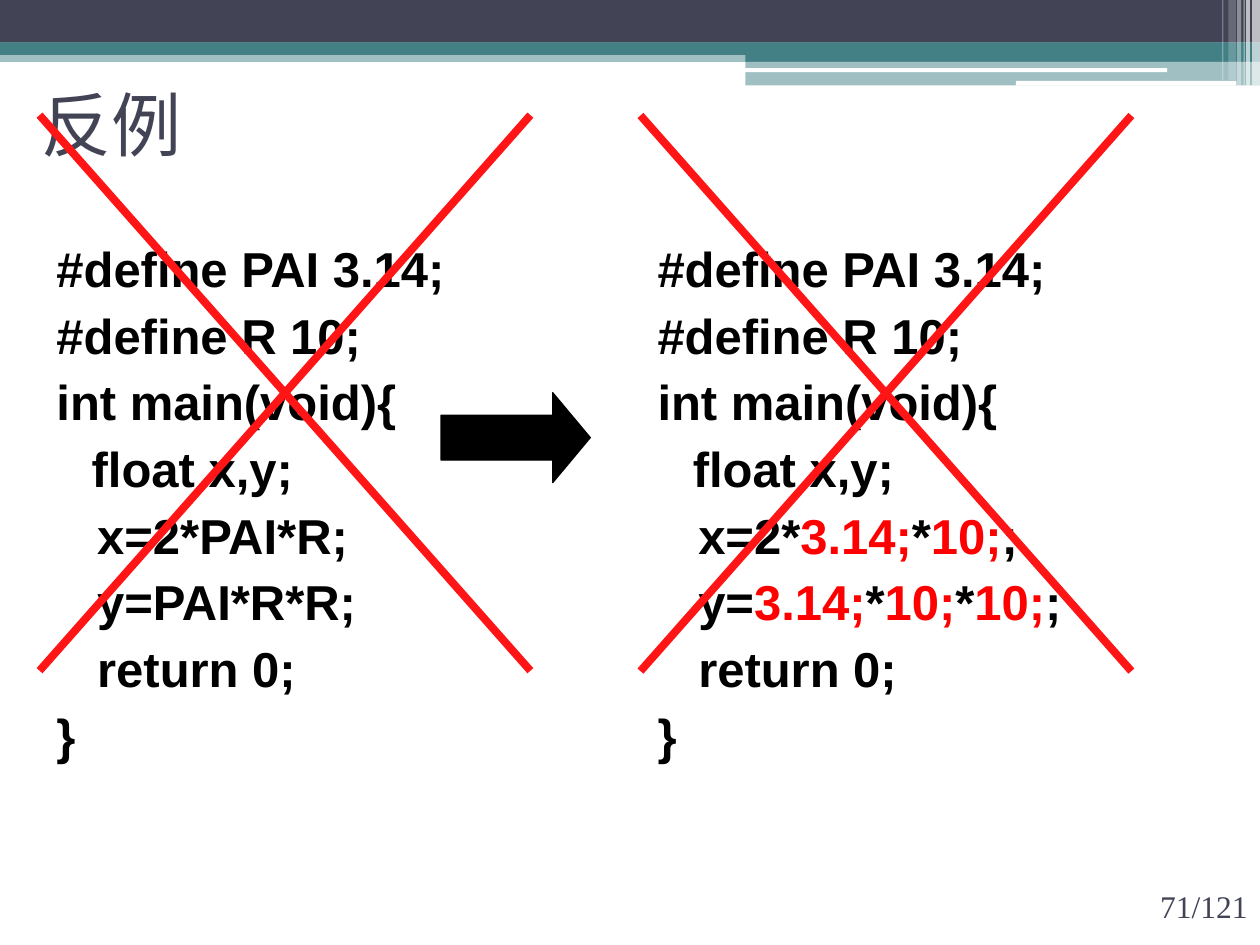
from dataclasses import dataclass

from lxml.etree import SubElement
from pptx import Presentation
from pptx.dml.color import RGBColor
from pptx.enum.shapes import MSO_CONNECTOR, MSO_SHAPE
from pptx.enum.text import MSO_ANCHOR, PP_ALIGN
from pptx.oxml.ns import qn
from pptx.util import Pt


@dataclass(frozen=True)
class Theme:
    navy: str = "424456"
    teal: str = "438086"
    white: str = "FFFFFF"
    black: str = "000000"
    replaced: str = "FF0000"
    cross: str = "FF1515"
    heading_font: str = "Times New Roman"
    code_font: str = "Arial"
    title_size: int = 40
    code_size: int = 28
    number_size: int = 18


theme = Theme()


def add_block(kind, left, top, width, height, color, opacity=100):
    shape = slide.shapes.add_shape(kind, Pt(left), Pt(top), Pt(width), Pt(height))
    shape.shadow.inherit = False
    shape.fill.solid()
    shape.fill.fore_color.rgb = RGBColor.from_string(color)
    shape.line.fill.background()
    if opacity < 100:
        color_element = shape._element.spPr.find(qn("a:solidFill")).find(qn("a:srgbClr"))
        SubElement(color_element, qn("a:alpha"), val=str(opacity * 1000))
    return shape


def set_font(font, name, size, color, bold=False):
    font.name = name
    font.size = Pt(size)
    font.bold = bold
    font.color.rgb = RGBColor.from_string(color)


presentation = Presentation()
presentation.slide_width, presentation.slide_height = Pt(720), Pt(540)
slide = presentation.slides.add_slide(presentation.slide_layouts[5])

# Header bands
for left, top, width, height, color, opacity in [
    (0, 28.8, 720, 6.6, theme.teal, 50),
    (0, 0, 720, 24.4, theme.navy, 100),
    (0, 24.2, 720, 7.2, theme.teal, 100),
    (426, 28.2, 294, 7, theme.teal, 100),
    (426, 34.6, 294, 14.2, theme.teal, 50),
]:
    add_block(MSO_SHAPE.RECTANGLE, left, top, width, height, color, opacity)

# White rules under the bands
for left, top, width, height in [(425.5, 39, 241.5, 2.2), (580.5, 46.2, 126, 2.7)]:
    add_block(MSO_SHAPE.ROUNDED_RECTANGLE, left, top, width, height, theme.white)

# Translucent stripes at the right edge
for left, width, height, opacity in [
    (715.5, 4.5, 49, 65), (712.1, 2.2, 49, 65), (710.6, 0.7, 49, 60),
    (707, 2.2, 49, 40), (702, 4.3, 46, 20), (698.4, 0.7, 46, 30),
]:
    add_block(MSO_SHAPE.RECTANGLE, left, 0, width, height, theme.white, opacity)

# Title
title = slide.shapes.title
title.left, title.top, title.width, title.height = Pt(16.56), Pt(39.6), Pt(680.4), Pt(61.9)
title.text_frame.text = "反例"
title.text_frame.vertical_anchor = MSO_ANCHOR.MIDDLE
title_paragraph = title.text_frame.paragraphs[0]
title_paragraph.alignment = PP_ALIGN.LEFT
set_font(title_paragraph.font, theme.heading_font, theme.title_size, theme.navy)

# Page number
number_box = slide.shapes.add_textbox(Pt(641.5), Pt(495.4), Pt(78.5), Pt(44.6))
number_box.text_frame.word_wrap = True
number_box.text_frame.vertical_anchor = MSO_ANCHOR.MIDDLE
number_paragraph = number_box.text_frame.paragraphs[0]
number_paragraph.text = "71/121"
number_paragraph.alignment = PP_ALIGN.RIGHT
set_font(number_paragraph.font, theme.heading_font, theme.number_size, theme.navy)

# Code before and after macro expansion; text between bars is the substituted part
opening = ["#define PAI 3.14;", "#define R 10;", "int main(void){", "\tfloat x,y;"]
closing = ["   return 0;", "}"]
written = ["   x=2*PAI*R;", "   y=PAI*R*R;"]
expanded = ["   x=2*|3.14;|*|10;|;", "   y=|3.14;|*|10;|*|10;|;"]
for left, width, body in [(16.56, 343.4, written), (360, 337.7, expanded)]:
    code_box = slide.shapes.add_textbox(Pt(left), Pt(129.6), Pt(width), Pt(365.8))
    frame = code_box.text_frame
    frame.word_wrap = True
    frame.margin_top = Pt(6.6)
    for index, line in enumerate(opening + body + closing):
        paragraph = frame.add_paragraph() if index else frame.paragraphs[0]
        properties = paragraph._p.get_or_add_pPr()
        properties.set("marL", str(Pt(28.8)))
        properties.set("indent", str(-Pt(20.16)))
        if index:
            paragraph.space_before = Pt(4.5)
        set_font(paragraph.font, theme.code_font, theme.code_size, theme.black, bold=True)
        for position, piece in enumerate(line.split("|")):
            run = paragraph.add_run()
            run.text = piece
            if position % 2:
                run.font.color.rgb = RGBColor.from_string(theme.replaced)

# Arrow from written to expanded code
arrow = add_block(MSO_SHAPE.RIGHT_ARROW, 252, 224.4, 85.3, 51.4, theme.black)
arrow.adjustments[1] = 0.417
arrow.line.color.rgb = RGBColor.from_string(theme.black)
arrow.line.width = Pt(0.75)

# Crosses over both listings
cross_width, cross_height = 280.5, 317.5
for left, top in [(22.6, 65.8), (366, 66)]:
    cross = slide.shapes.add_group_shape()
    right, bottom = left + cross_width, top + cross_height
    for start, end in [(left, right), (right, left)]:
        stroke = cross.shapes.add_connector(
            MSO_CONNECTOR.STRAIGHT, Pt(start), Pt(top), Pt(end), Pt(bottom))
        stroke.line.color.rgb = RGBColor.from_string(theme.cross)
        stroke.line.width = Pt(4.5)
        SubElement(stroke._element.spPr, qn("a:effectLst"))

presentation.save("out.pptx")
